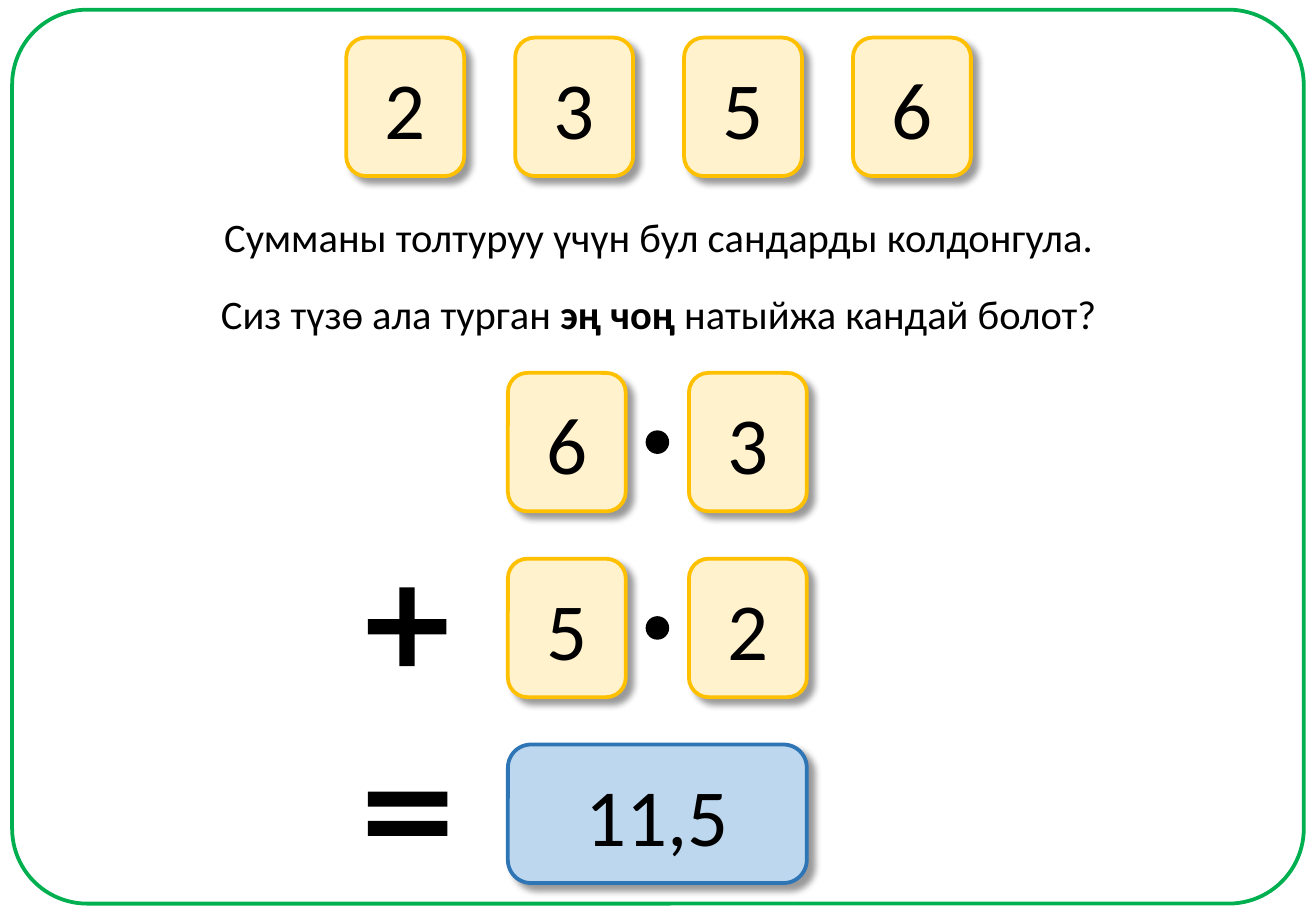
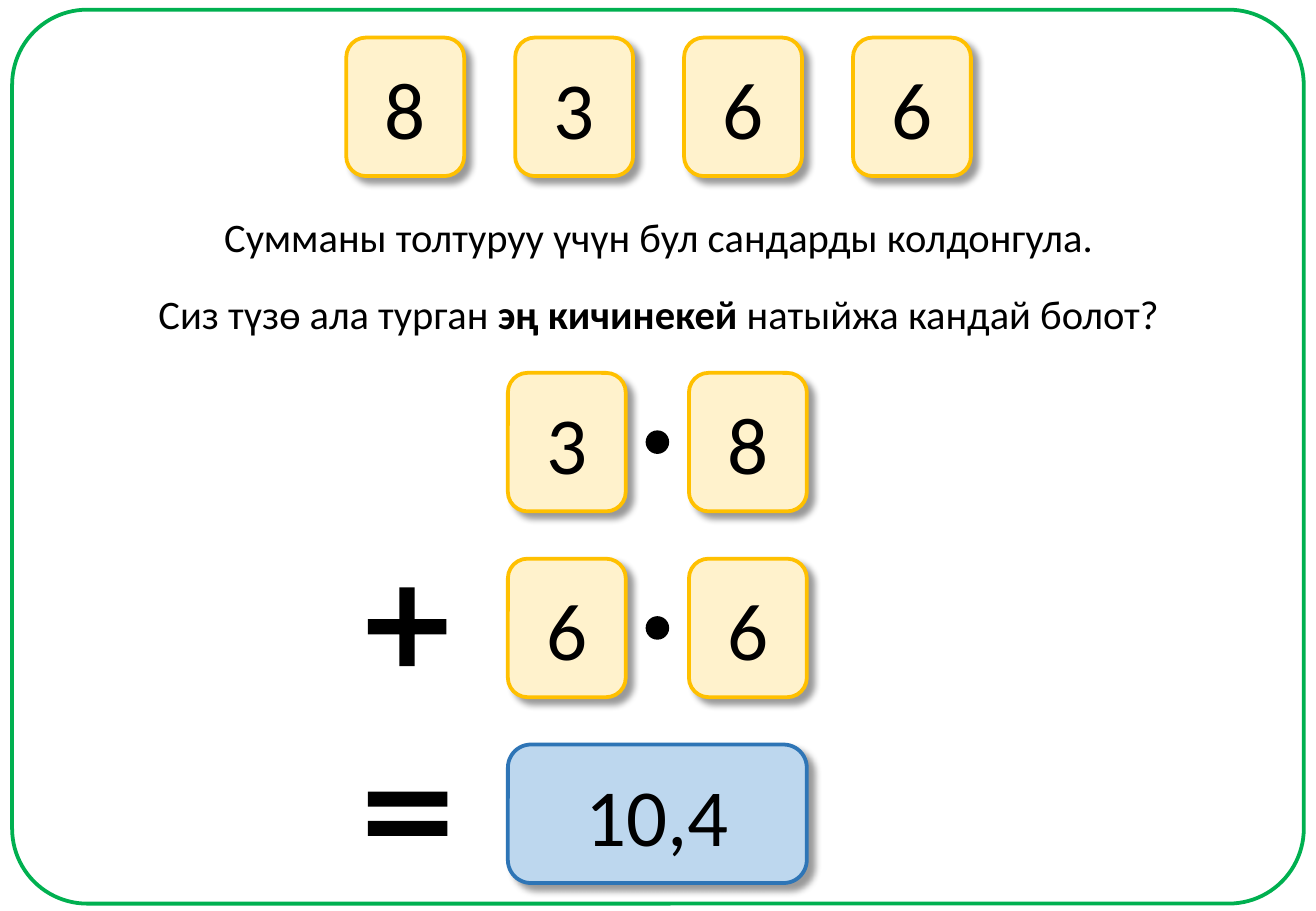
from dataclasses import dataclass

from lxml import etree
from pptx import Presentation
from pptx.dml.color import RGBColor
from pptx.enum.shapes import MSO_SHAPE
from pptx.enum.text import MSO_ANCHOR, MSO_AUTO_SIZE, PP_ALIGN
from pptx.oxml.ns import qn
from pptx.util import Inches, Pt

ROUND = MSO_SHAPE.ROUNDED_RECTANGLE
DOT = MSO_SHAPE.OVAL
PLUS = MSO_SHAPE.MATH_PLUS
EQUAL = MSO_SHAPE.MATH_EQUAL
MIDDLE = MSO_ANCHOR.MIDDLE
CENTER = PP_ALIGN.CENTER
FIXED = MSO_AUTO_SIZE.NONE
TITLE_ONLY = 5


@dataclass(frozen=True)
class Theme:
    font: str = "Calibri"
    ink: str = "000000"
    frame: str = "00B050"
    card: tuple = ("FFF2CC", "FFC000")
    total: tuple = ("BDD7EE", "2E75B6")
    digit: int = 48
    prompt: int = 24
    edge: float = 2.25


THEME = Theme()
WIDE, HIGH = 10.83, 7.5
MID = 5.42
CARD_W, CARD_H = 0.97, 1.14
TASK = "Сумманы толтуруу үчүн бул сандарды колдонгула."
ASK = ("Сиз түзө ала турган ", "натыйжа кандай болот?")

# cards, stressed words, width of the question, pairs to multiply, total
PUZZLES = [
    ("2356", "эң чоң ", 7.45, ("63", "52"), "11,5"),
    ("8366", "эң кичинекей ", 8.46, ("38", "66"), "10,4"),
]


def paint(shape, fill=None, line=None, width=THEME.edge):
    shape.shadow.inherit = False
    if fill:
        shape.fill.solid()
        shape.fill.fore_color.rgb = RGBColor.from_string(fill)
    else:
        shape.fill.background()
    if line:
        shape.line.color.rgb = RGBColor.from_string(line)
        shape.line.width = Pt(width)
    else:
        shape.line.fill.background()


def add(shapes, kind, box, adjust=(), **look):
    shape = shapes.add_shape(kind, *map(Inches, box))
    for i, value in enumerate(adjust):
        shape.adjustments[i] = value
    paint(shape, **look)
    return shape


def cast(shape):
    """Give the shape a soft shadow towards the lower right."""
    effects = shape._element.spPr.find(qn("a:effectLst"))
    outer = etree.SubElement(
        effects, qn("a:outerShdw"), blurRad=str(Pt(4)), dist=str(Pt(5)),
        dir="2700000", algn="tl", rotWithShape="0")
    color = etree.SubElement(outer, qn("a:srgbClr"), val=THEME.ink)
    etree.SubElement(color, qn("a:alpha"), val="40000")


def style(para, size):
    para.alignment = CENTER
    for run in para.runs:
        run.font.name = THEME.font
        run.font.size = Pt(size)
        run.font.color.rgb = RGBColor.from_string(THEME.ink)


def card(shapes, left, top, text, width=CARD_W, look=THEME.card):
    shape = add(shapes, ROUND, (left, top, width, CARD_H),
                fill=look[0], line=look[1])
    cast(shape)
    frame = shape.text_frame
    frame.margin_left = frame.margin_right = Inches(0.11)
    frame.vertical_anchor = MIDDLE
    frame.text = text
    style(frame.paragraphs[0], THEME.digit)


def hand(slide, left, top, digits, pitch=1.39):
    """Place the grouped row of given cards."""
    group = slide.shapes.add_group_shape()
    for i, digit in enumerate(digits):
        card(group.shapes, left + i * pitch, top, digit)


def place(shape, top, width):
    """Center a one-line text shape on the slide."""
    shape.left, shape.top = Inches(MID - width / 2), Inches(top)
    shape.width, shape.height = Inches(width), Inches(0.5)
    shape.text_frame.word_wrap = False
    shape.text_frame.auto_size = FIXED


def prompt(slide, top, stress, width):
    task = slide.shapes.add_textbox(0, 0, 0, 0)
    place(task, top, 7.4)
    task.text_frame.text = TASK
    style(task.text_frame.paragraphs[0], THEME.prompt)

    title = slide.shapes.title
    place(title, top + 0.63, width)
    title.text_frame.vertical_anchor = MSO_ANCHOR.TOP
    para = title.text_frame.paragraphs[0]
    for text in (ASK[0], stress, ASK[1]):
        run = para.add_run()
        run.text = text
        run.font.bold = text == stress
    style(para, THEME.prompt)


def work(slide, left, top, pairs, total, pitch=1.53):
    """Place the two products, their signs and the total."""
    shapes = slide.shapes
    ink = THEME.ink
    for row, (one, two) in enumerate(pairs):
        y = top + row * pitch
        card(shapes, left, y, one)
        card(shapes, left + 1.49, y, two)
        add(shapes, DOT, (left + 1.14, y + 0.48, 0.18, 0.18),
            fill=ink, line=ink, width=1)
    sign = left - 1.27
    add(shapes, PLUS, (sign, top + pitch + 0.12, 0.88, 0.88), (0.144,), fill=ink)
    base = top + 2 * pitch
    add(shapes, EQUAL, (sign, base + 0.07, 0.89, 1), (0.123, 0.118), fill=ink)
    card(shapes, left, base, total, 2.46, THEME.total)


def puzzle(deck, digits, stress, width, pairs, total):
    slide = deck.slides.add_slide(deck.slide_layouts[TITLE_ONLY])
    add(slide.shapes, ROUND, (0.1, 0.08, 10.63, 7.36), (0.084,),
        line=THEME.frame)
    hand(slide, 2.85, 0.31, digits)
    prompt(slide, 1.7, stress, width)
    work(slide, 4.18, 3.07, pairs, total)


def main():
    deck = Presentation()
    deck.slide_width, deck.slide_height = Inches(WIDE), Inches(HIGH)
    for item in PUZZLES:
        puzzle(deck, *item)
    deck.save("out.pptx")


if __name__ == "__main__":
    main()
